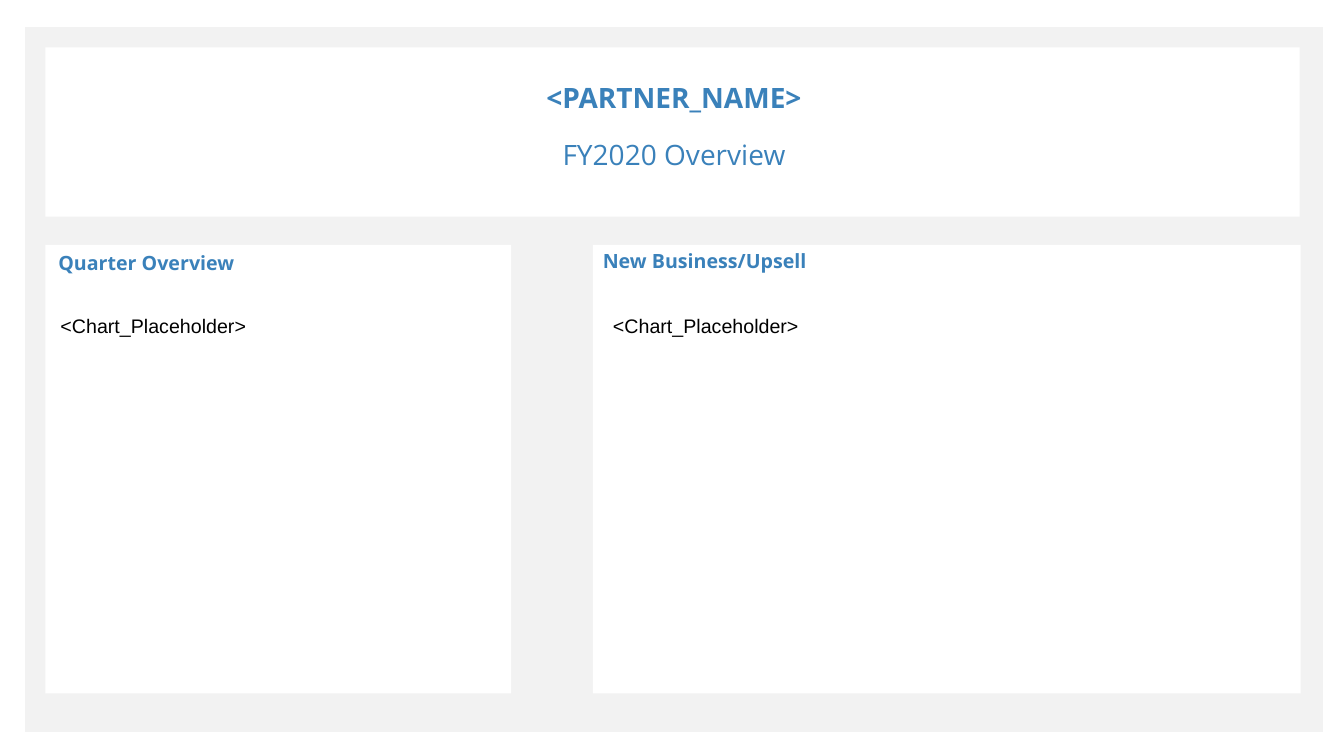
from dataclasses import dataclass

from pptx import Presentation, util as u
from pptx.dml.color import RGBColor
from pptx.enum import shapes, text

WHITE = RGBColor(0xFF, 0xFF, 0xFF)
PALE_GREY = RGBColor(0xF2, 0xF2, 0xF2)
BLUE = RGBColor(0x3A, 0x81, 0xBA)
BLACK = RGBColor(0, 0, 0)

CENTER = text.PP_ALIGN.CENTER
LEFT = text.PP_ALIGN.LEFT

HEADING = {"name": "Open Sans", "size": u.Pt(20), "bold": True}
SUBHEADING = {**HEADING, "bold": False}
PANEL_HEADING = {**HEADING, "size": u.Pt(14)}
CHART_LABEL = {"name": "Arial", "size": u.Pt(14), "bold": False}


@dataclass(frozen=True)
class Box:
    left: float
    top: float
    width: float
    height: float

    def lengths(self) -> list:
        return [u.Inches(v) for v in (self.left, self.top, self.width, self.height)]


@dataclass(frozen=True)
class Panel:
    box: Box
    color: RGBColor


@dataclass(frozen=True)
class Label:
    wording: str
    box: Box
    font: dict
    color: RGBColor = BLUE
    align: text.PP_ALIGN = LEFT
    inset_x: float = 0.1
    inset_y: float = 0.05


PANELS = [
    Panel(Box(0.25, 0.27, 12.87, 6.99), PALE_GREY),
    Panel(Box(0.45, 0.47, 12.44, 1.68), WHITE),
    Panel(Box(0.45, 2.43, 4.62, 4.45), WHITE),
    Panel(Box(5.88, 2.43, 7.02, 4.45), WHITE),
]

PARTNER = Label("<PARTNER_NAME>", Box(2.68, 0.75, 8.01, 0.44), HEADING, align=CENTER)
YEAR = Label("FY2020 Overview", Box(4.78, 1.31, 3.81, 0.44), SUBHEADING, align=CENTER)

PANEL_LABELS = [
    Label("Quarter Overview", Box(0.48, 2.44, 3.25, 0.34), PANEL_HEADING),
    Label("New Business/Upsell", Box(5.88, 2.42, 7.02, 0.34), PANEL_HEADING),
    *(
        Label("<Chart_Placeholder>", Box(left, 3.11, width, 3.46), CHART_LABEL,
              BLACK, inset_x=0, inset_y=0)
        for left, width in ((0.6, 4.29), (6.08, 6.66))
    ),
]


def draw_panel(slide, panel: Panel) -> None:
    area = slide.shapes.add_shape(shapes.MSO_SHAPE.RECTANGLE, *panel.box.lengths())
    area.shadow.inherit = False
    area.fill.solid()
    area.fill.fore_color.rgb = panel.color
    area.line.fill.background()


def write_label(holder, label: Label) -> None:
    frame = holder.text_frame
    frame.text = label.wording
    frame_format = {
        "word_wrap": True,
        "auto_size": text.MSO_AUTO_SIZE.NONE,
        "vertical_anchor": text.MSO_ANCHOR.TOP,
        "margin_left": u.Inches(label.inset_x),
        "margin_right": u.Inches(label.inset_x),
        "margin_top": u.Inches(label.inset_y),
        "margin_bottom": u.Inches(label.inset_y),
    }
    for name, value in frame_format.items():
        setattr(frame, name, value)
    line = frame.paragraphs[0]
    line.alignment = label.align
    line.space_before = u.Pt(0)
    font = line.runs[0].font
    for name, value in label.font.items():
        setattr(font, name, value)
    font.color.rgb = label.color


def place_heading(slide, holder, label: Label) -> None:
    holder.left, holder.top, holder.width, holder.height = label.box.lengths()
    write_label(holder, label)
    holder.element.getparent().append(holder.element)


def main() -> None:
    deck = Presentation()
    deck.slide_width, deck.slide_height = u.Inches(13.33), u.Inches(7.5)
    slide = deck.slides.add_slide(deck.slide_layouts[0])
    for panel in PANELS:
        draw_panel(slide, panel)
    place_heading(slide, slide.shapes.title, PARTNER)
    place_heading(slide, slide.placeholders[1], YEAR)
    for label in PANEL_LABELS:
        write_label(slide.shapes.add_textbox(*label.box.lengths()), label)
    deck.save("out.pptx")


if __name__ == "__main__":
    main()
